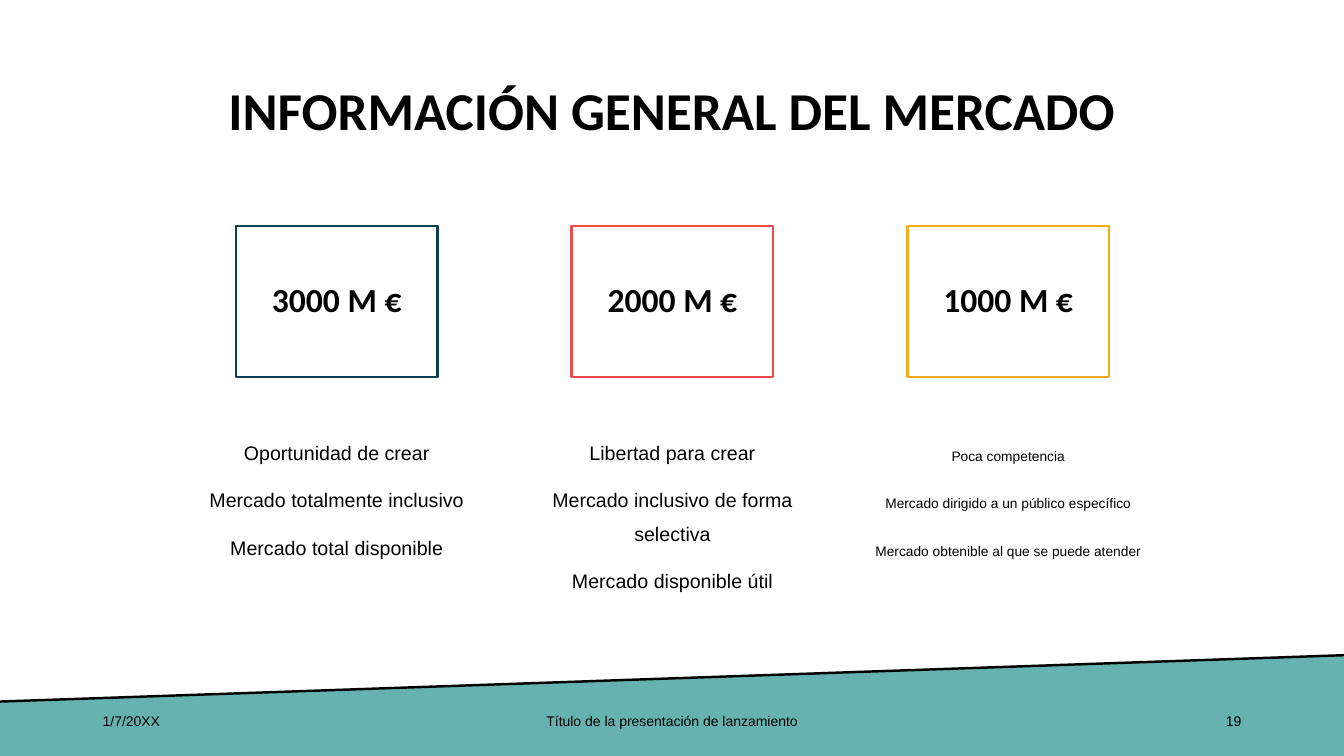
import pptx
import pptx.dml.color
import pptx.enum.shapes
import pptx.enum.text
import pptx.oxml.ns
import pptx.util
from lxml import etree
from pptx.util import Inches

WIDTH, HEIGHT = 13.33, 7.5
MARGIN = 0.92
COLORS = {
    "black": "000000",
    "teal": "66B2B0",
    "navy": "0A4054",
    "red": "F2494C",
    "amber": "F9AA19",
}
ALIGN = pptx.enum.text.PP_ALIGN
ANCHOR = pptx.enum.text.MSO_ANCHOR

# amount, frame colour, text size, lines
MARKETS = [
    ("3000 M €", "navy", 14,
     ["Oportunidad de crear", "Mercado totalmente inclusivo", "Mercado total disponible"]),
    ("2000 M €", "red", 14,
     ["Libertad para crear", "Mercado inclusivo de forma selectiva", "Mercado disponible útil"]),
    ("1000 M €", "amber", 9.8,
     ["Poca competencia", "Mercado dirigido a un público específico",
      "Mercado obtenible al que se puede atender"]),
]


def color(name):
    return pptx.dml.color.RGBColor.from_string(COLORS[name])


def write(shape, lines, size, font="Arial", bold=False, align=ALIGN.CENTER,
          anchor=ANCHOR.MIDDLE, spacing=1.0, before=0):
    """Fill a shape with one paragraph per line, all in the same style."""
    frame = shape.text_frame
    frame.word_wrap = True
    frame.vertical_anchor = anchor
    frame.text = "\n".join(lines)
    for index, para in enumerate(frame.paragraphs):
        para.alignment = align
        para.line_spacing = spacing
        para.space_before = pptx.util.Pt(before if index else 0)
        for span in para.runs:
            span.font.name = font
            span.font.size = pptx.util.Pt(size)
            span.font.bold = bold
            span.font.color.rgb = color("black")


def add_text(page, left, top, width, height, lines, size, **style):
    box = page.shapes.add_textbox(Inches(left), Inches(top), Inches(width), Inches(height))
    write(box, lines, size, **style)


def add_title(page, left, top, width, height):
    add_text(page, left, top, width, height, ["INFORMACIÓN GENERAL DEL MERCADO"], 38,
             font="Calibri", bold=True, spacing=0.9)


def add_market(page, left, top, width, amount, frame_color, size, lines):
    """Draw a framed amount above its centred lines of text."""
    frame_width = 2
    frame = page.shapes.add_shape(
        pptx.enum.shapes.MSO_SHAPE.RECTANGLE,
        Inches(left + (width - frame_width) / 2), Inches(top), Inches(frame_width), Inches(1.5))
    frame.shadow.inherit = False
    frame.fill.background()
    frame.line.color.rgb = color(frame_color)
    frame.line.width = pptx.util.Pt(1.75)
    write(frame, [amount], 24, font="Calibri", bold=True, spacing=0.9)
    add_text(page, left, top + 1.98, width, 1.75, lines, size,
             anchor=ANCHOR.TOP, spacing=pptx.util.Pt(24), before=10)


def add_footer(page, left, top, width, height):
    """Draw the sloping band with its edge, date, title and page number."""
    right, bottom, left_edge = left + width, top + height, top + 0.46
    builder = page.shapes.build_freeform(Inches(left), Inches(left_edge))
    builder.add_line_segments([
        (Inches(right), Inches(top)),
        (Inches(right), Inches(bottom)),
        (Inches(left), Inches(bottom)),
    ], close=True)
    band = builder.convert_to_shape()
    band.shadow.inherit = False
    band.fill.solid()
    band.fill.fore_color.rgb = color("teal")
    band.line.fill.background()

    edge = page.shapes.add_connector(
        pptx.enum.shapes.MSO_CONNECTOR.STRAIGHT,
        Inches(right), Inches(top), Inches(left), Inches(left_edge))
    edge.line.color.rgb = color("black")
    edge.line.width = pptx.util.Pt(1.75)
    etree.SubElement(edge._element.spPr, pptx.oxml.ns.qn("a:effectLst"))

    side, middle = 3, 4.5
    for text, start, span_width, align in [
        ("1/7/20XX", left + MARGIN, side, ALIGN.LEFT),
        ("Título de la presentación de lanzamiento", left + (width - middle) / 2, middle,
         ALIGN.CENTER),
        ("19", right - MARGIN - side, side, ALIGN.RIGHT),
    ]:
        add_text(page, start, top + 0.45, span_width, 0.4, [text], 10, align=align)


def main():
    deck = pptx.Presentation()
    deck.slide_width, deck.slide_height = Inches(WIDTH), Inches(HEIGHT)
    page = deck.slides.add_slide(deck.slide_layouts[6])
    add_footer(page, 0, 6.5, WIDTH, 1)
    add_title(page, MARGIN, 0.4, WIDTH - 2 * MARGIN, 1.45)
    for index, market in enumerate(MARKETS):
        add_market(page, 1.84 + index * 3.33, 2.24, 3, *market)
    deck.save("out.pptx")


if __name__ == "__main__":
    main()
